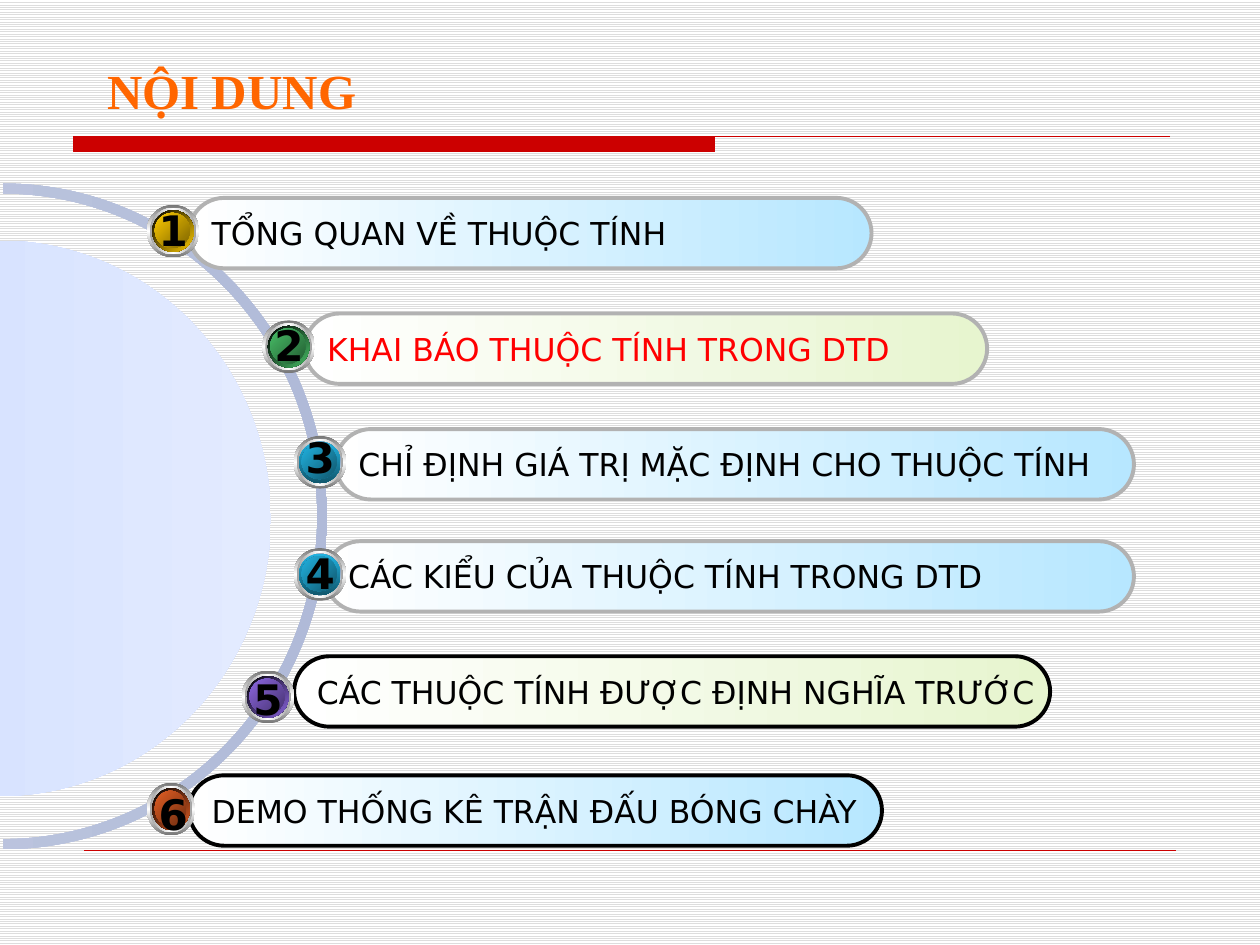
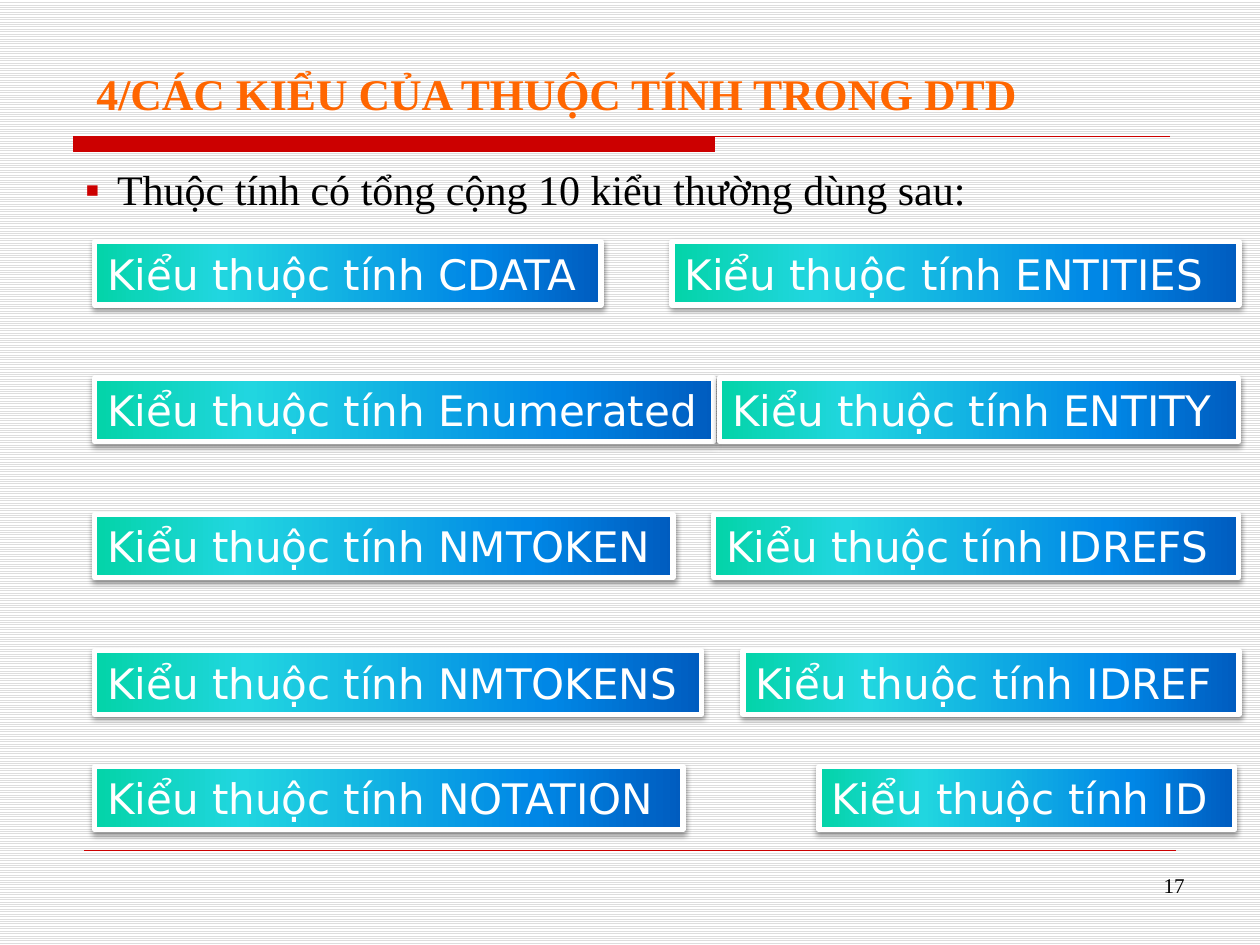
"""Builds a contents slide and a slide of attribute types for a DTD lecture."""
from pptx import Presentation
from pptx import oxml
from pptx import util as u
from pptx.dml.color import RGBColor
from pptx.enum import dml, shapes, text
from pptx.oxml import ns

SERIF, SANS = "Times New Roman", "DejaVu Sans"
BLACK = RGBColor(0x00, 0x00, 0x00)
WHITE = RGBColor(0xFF, 0xFF, 0xFF)
STRIPE = RGBColor(0xDD, 0xDD, 0xDD)
GREY = RGBColor(0xB2, 0xB2, 0xB2)
CRIMSON = RGBColor(0xCC, 0x00, 0x00)
RED = RGBColor(0xFF, 0x00, 0x00)
ORANGE = RGBColor(0xFF, 0x66, 0x00)
PALE_BLUE = RGBColor(0xB7, 0xE7, 0xFF)
PALE_GREEN = RGBColor(0xE7, 0xF5, 0xCF)
RING_LEFT, RING_RIGHT = RGBColor(0xC5, 0xCD, 0xE3), RGBColor(0xB0, 0xBA, 0xD8)
DOME_LEFT, DOME_RIGHT = RGBColor(0xCD, 0xDB, 0xFF), RGBColor(0xE3, 0xEB, 0xFF)
STEEL, SILVER = RGBColor(0x76, 0x76, 0x76), RGBColor(0xA2, 0xA2, 0xA2)
BLUE, DARK_BLUE = RGBColor(0x33, 0x66, 0x99), RGBColor(0x27, 0x4E, 0x75)
GOLD, DARK_GOLD = RGBColor(0xFF, 0xCC, 0x00), RGBColor(0x7C, 0x63, 0x00)
GREEN, DARK_GREEN = RGBColor(0x48, 0xBE, 0x67), RGBColor(0x23, 0x5C, 0x32)
CYAN, DARK_CYAN = RGBColor(0x21, 0xB3, 0xE1), RGBColor(0x10, 0x57, 0x6D)
PURPLE, DARK_PURPLE = RGBColor(0x8D, 0x67, 0xE1), RGBColor(0x45, 0x32, 0x6D)
RUST, DARK_RUST = RGBColor(0xE3, 0x5E, 0x23), RGBColor(0x6E, 0x2E, 0x11)
OCEAN = [(0, RGBColor(0x03, 0xD4, 0xA8)), (25, RGBColor(0x21, 0xD6, 0xE0)),
         (75, RGBColor(0x00, 0x87, 0xE6)), (100, RGBColor(0x00, 0x5C, 0xBF))]


def write(shape, words, size=18, color=BLACK, font=SANS, bold=False,
          align=text.PP_ALIGN.LEFT, anchor=text.MSO_ANCHOR.MIDDLE):
    """Put one formatted paragraph in a shape and return it."""
    frame = shape.text_frame
    frame.word_wrap = True
    frame.vertical_anchor = anchor
    paragraph = frame.paragraphs[0]
    paragraph.alignment = align
    run = paragraph.add_run()
    run.text = words
    run.font.size, run.font.name, run.font.bold = u.Pt(size), font, bold
    run.font.color.rgb = color
    return paragraph


def paint(shape, stops, angle=0):
    """Give a shape a linear gradient without outline or shadow."""
    shape.shadow.inherit = False
    shape.line.fill.background()
    shape.fill.gradient()
    marks = "".join(f'<a:gs pos="{place * 1000}"><a:srgbClr val="{color}"/></a:gs>'
                    for place, color in stops)
    gradient = oxml.parse_xml(
        f'<a:gradFill {ns.nsdecls("a")} rotWithShape="1"><a:gsLst>{marks}</a:gsLst>'
        f'<a:lin ang="{angle * 60000}" scaled="0"/></a:gradFill>')
    properties = shape._element.spPr
    properties.replace(properties.find(ns.qn("a:gradFill")), gradient)


presentation = Presentation()
presentation.slide_width, presentation.slide_height = u.Cm(25.4), u.Cm(19.05)
master = presentation.slide_master
background = master.background.fill
background.patterned()
background.pattern = dml.MSO_PATTERN.LIGHT_HORIZONTAL
background.fore_color.rgb = STRIPE
background.back_color.rgb = WHITE

for title, title_left, title_size in [
        ("NỘI DUNG", 1.91, 28),
        ("4/CÁC KIỂU CỦA THUỘC TÍNH TRONG DTD", 1.69, 25)]:
    slide = presentation.slides.add_slide(presentation.slide_layouts[5])
    heading = slide.shapes.title
    heading.left, heading.top = u.Cm(title_left), u.Cm(0.64)
    heading.width, heading.height = u.Cm(22.22), u.Cm(1.9)
    write(heading, title, size=title_size, color=ORANGE, font=SERIF, bold=True,
          anchor=text.MSO_ANCHOR.BOTTOM)

contents, types = presentation.slides

builder = contents.shapes.build_freeform(u.Cm(1.48), u.Cm(2.75))
builder.add_line_segments([(u.Cm(14.41), u.Cm(2.75)), (u.Cm(14.41), u.Cm(3.06)),
                           (u.Cm(1.48), u.Cm(3.06))])
builder.move_to(u.Cm(1.48), u.Cm(2.75))
builder.add_line_segments([(u.Cm(23.59), u.Cm(2.75))], close=False)
title_bar = builder.convert_to_shape()
title_bar.shadow.inherit = False
title_bar.fill.solid()
title_bar.fill.fore_color.rgb = CRIMSON
footer_rule = contents.shapes.add_connector(shapes.MSO_CONNECTOR.STRAIGHT, u.Cm(1.69),
                                            u.Cm(17.14), u.Cm(23.71), u.Cm(17.14))
footer_rule._element.spPr.append(oxml.parse_xml(f'<a:effectLst {ns.nsdecls("a")}/>'))
for shape, weight in [(title_bar, 0.75), (footer_rule, 0.25)]:
    shape.line.color.rgb = CRIMSON
    shape.line.width = u.Pt(weight)
    master.shapes._spTree.append(shape._element)

for kind, left, top, width, height, start, end in [
        (shapes.MSO_SHAPE.BLOCK_ARC, -6.46, 3.7, 13.06, 13.42, RING_LEFT, RING_RIGHT),
        (shapes.MSO_SHAPE.CHORD, -5.46, 4.85, 10.92, 11.2, DOME_LEFT, DOME_RIGHT)]:
    arc = contents.shapes.add_shape(kind, u.Cm(left), u.Cm(top), u.Cm(width), u.Cm(height))
    arc.adjustments[0], arc.adjustments[1] = 162, 54
    if kind == shapes.MSO_SHAPE.BLOCK_ARC:
        arc.adjustments[2] = 0.0156
    paint(arc, [(0, start), (100, end)])

topics = [
    ("TỔNG QUAN VỀ THUỘC TÍNH", 3.81, 3.99, 13.76, PALE_BLUE, GREY, BLACK,
     2.96, 4.13, 1.06, 3.99, GOLD, DARK_GOLD),
    ("KHAI BÁO THUỘC TÍNH TRONG DTD", 6.14, 6.32, 13.76, PALE_GREEN, GREY, RED,
     5.29, 6.46, 1.06, 6.32, GREEN, DARK_GREEN),
    ("CHỈ ĐỊNH GIÁ TRỊ MẶC ĐỊNH CHO THUỘC TÍNH", 6.77, 8.65, 16.09, PALE_BLUE, GREY, BLACK,
     5.92, 8.79, 1.06, 8.57, CYAN, DARK_CYAN),
    ("CÁC KIỂU CỦA THUỘC TÍNH TRONG DTD", 6.56, 10.91, 16.3, PALE_BLUE, GREY, BLACK,
     5.92, 11.05, 1.06, 10.91, CYAN, DARK_CYAN),
    ("CÁC THUỘC TÍNH ĐƯỢC ĐỊNH NGHĨA TRƯỚC", 5.93, 13.23, 15.24, PALE_GREEN, BLACK, BLACK,
     4.87, 13.52, 1.06, 13.46, PURPLE, DARK_PURPLE),
    ("DEMO THỐNG KÊ TRẬN ĐẤU BÓNG CHÀY", 3.81, 15.63, 13.97, PALE_BLUE, BLACK, BLACK,
     2.96, 15.78, 0.98, 15.78, RUST, DARK_RUST),
]
for number, (topic, left, top, width, tint, edge, ink, badge_left, badge_top,
             badge_width, number_top, bright, dark) in enumerate(topics, start=1):
    pill = contents.shapes.add_shape(shapes.MSO_SHAPE.ROUNDED_RECTANGLE, u.Cm(left),
                                     u.Cm(top), u.Cm(width), u.Cm(1.42))
    pill.adjustments[0] = 0.5
    paint(pill, [(0, WHITE), (100, tint)])
    pill.line.color.rgb = edge
    pill.line.width = u.Pt(2.25)
    pill.text_frame.margin_right = 0
    write(pill, topic, color=ink)

    if bright == CYAN:
        rim_angle, rim_stops = 90, [(0, CYAN), (100, DARK_CYAN)]
    else:
        rim_angle, rim_stops = 45, [(0, BLACK), (100, bright)]
    badge = contents.shapes.add_group_shape()
    for inset, shrink, angle, stops in [
            (0, 0, 90, [(0, STEEL), (50, WHITE), (100, STEEL)]),
            (0.06, 0.12, 0, [(0, SILVER), (50, WHITE), (100, SILVER)]),
            (0.11, 0.22, 45, [(0, WHITE), (50, BLUE), (100, WHITE)]),
            (0.11, 0.22, rim_angle, rim_stops),
            (0.16, 0.35, 315, [(0, DARK_BLUE), (50, BLUE), (100, DARK_BLUE)]),
            (0.16, 0.35, 45, [(0, bright), (100, dark)])]:
        disc = badge.shapes.add_shape(
            shapes.MSO_SHAPE.OVAL, u.Cm(badge_left + inset), u.Cm(badge_top + inset),
            u.Cm(badge_width - shrink), u.Cm(1.06 - shrink))
        paint(disc, stops, angle)

    label = contents.shapes.add_textbox(u.Cm(badge_left), u.Cm(number_top),
                                        u.Cm(1.07), u.Cm(1.27))
    label.text_frame.margin_left = label.text_frame.margin_right = 0
    write(label, str(number), size=24, bold=True, align=text.PP_ALIGN.CENTER,
          anchor=text.MSO_ANCHOR.TOP)

intro = types.shapes.add_textbox(u.Cm(1.47), u.Cm(3.18), u.Cm(23.93), u.Cm(13.97))
paragraph = write(intro, "Thuộc tính có tổng cộng 10 kiểu thường dùng sau:", size=24,
                  font=SERIF, anchor=text.MSO_ANCHOR.TOP)
bullet = paragraph._p.get_or_add_pPr()
bullet.set("marL", str(u.Cm(0.64)))
bullet.set("indent", str(-u.Cm(0.64)))
for tag in [f'buClr {ns.nsdecls("a")}><a:srgbClr val="{CRIMSON}"/></a:buClr',
            f'buSzPct {ns.nsdecls("a")} val="50000"/',
            f'buFont {ns.nsdecls("a")} typeface="{SANS}"/',
            f'buChar {ns.nsdecls("a")} char="▪"/']:
    bullet.append(oxml.parse_xml(f"<a:{tag}>"))

type_rows = [
    (4.87, ("CDATA", 1.91, 10.21), ("ENTITIES", 13.55, 11.43)),
    (7.62, ("Enumerated", 1.91, 12.48), ("ENTITY", 14.51, 10.46)),
    (10.37, ("NMTOKEN", 1.91, 11.66), ("IDREFS", 14.39, 10.58)),
    (13.12, ("NMTOKENS", 1.91, 12.24), ("IDREF", 14.98, 10.0)),
    (15.45, ("NOTATION", 1.91, 11.86), ("ID", 16.51, 8.38)),
]
for top, *boxes in type_rows:
    for name, left, width in boxes:
        box = types.shapes.add_shape(shapes.MSO_SHAPE.RECTANGLE, u.Cm(left), u.Cm(top),
                                     u.Cm(width), u.Cm(1.28))
        paint(box, OCEAN)
        box.line.color.rgb = WHITE
        box.line.width = u.Pt(3)
        box._element.spPr.find(ns.qn("a:effectLst")).append(oxml.parse_xml(
            f'<a:outerShdw {ns.nsdecls("a")} blurRad="{u.Pt(3.1)}" dist="{u.Pt(1.6)}" '
            f'dir="5400000" rotWithShape="0"><a:srgbClr val="{BLACK}">'
            '<a:alpha val="38000"/></a:srgbClr></a:outerShdw>'))
        write(box, f"Kiểu thuộc tính {name}", size=24, color=WHITE)

page_number = types.shapes.add_textbox(u.Cm(18.2), u.Cm(17.46), u.Cm(5.93), u.Cm(0.85))
write(page_number, "17", size=12, font=SERIF, align=text.PP_ALIGN.RIGHT,
      anchor=text.MSO_ANCHOR.TOP)

presentation.save("out.pptx")
